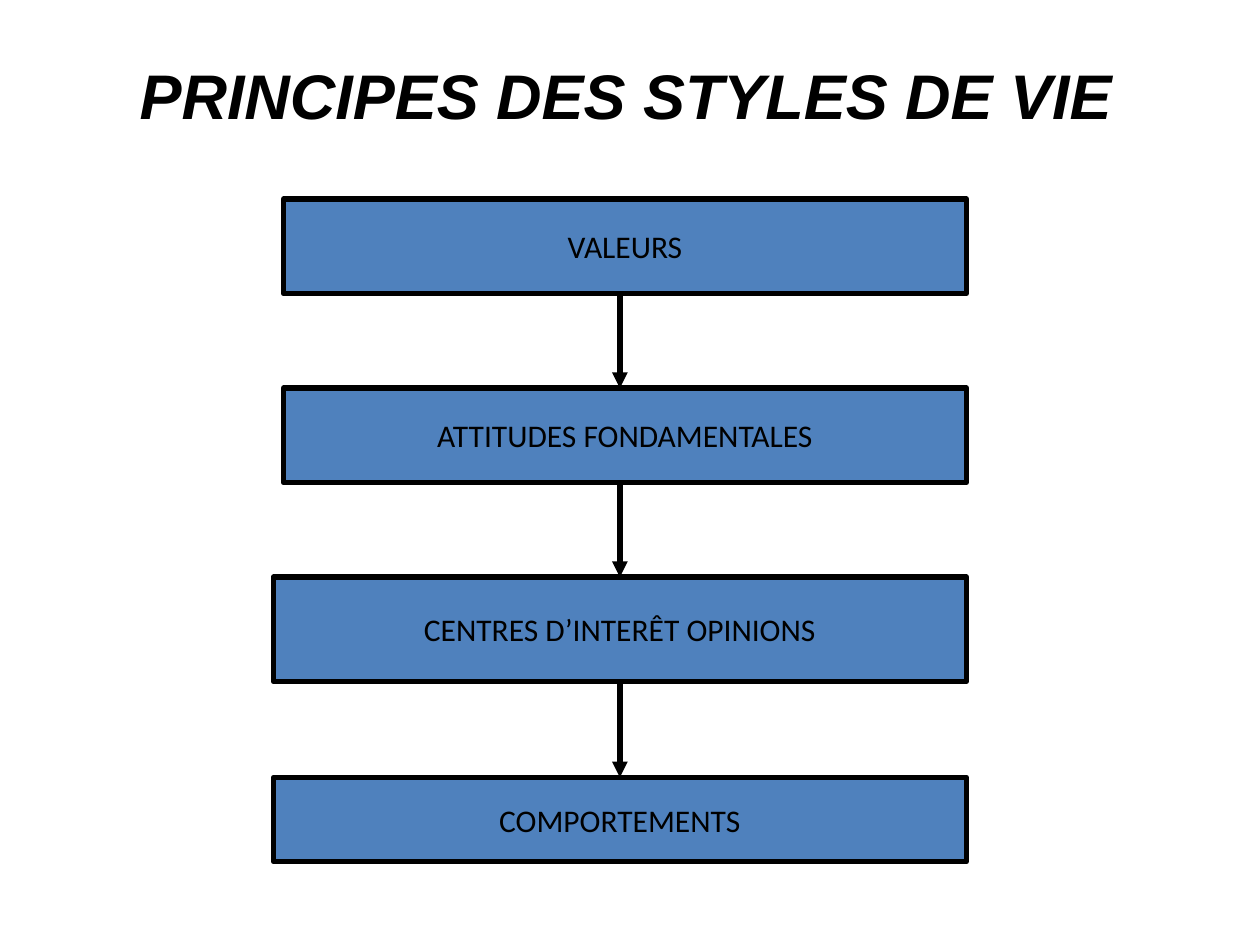
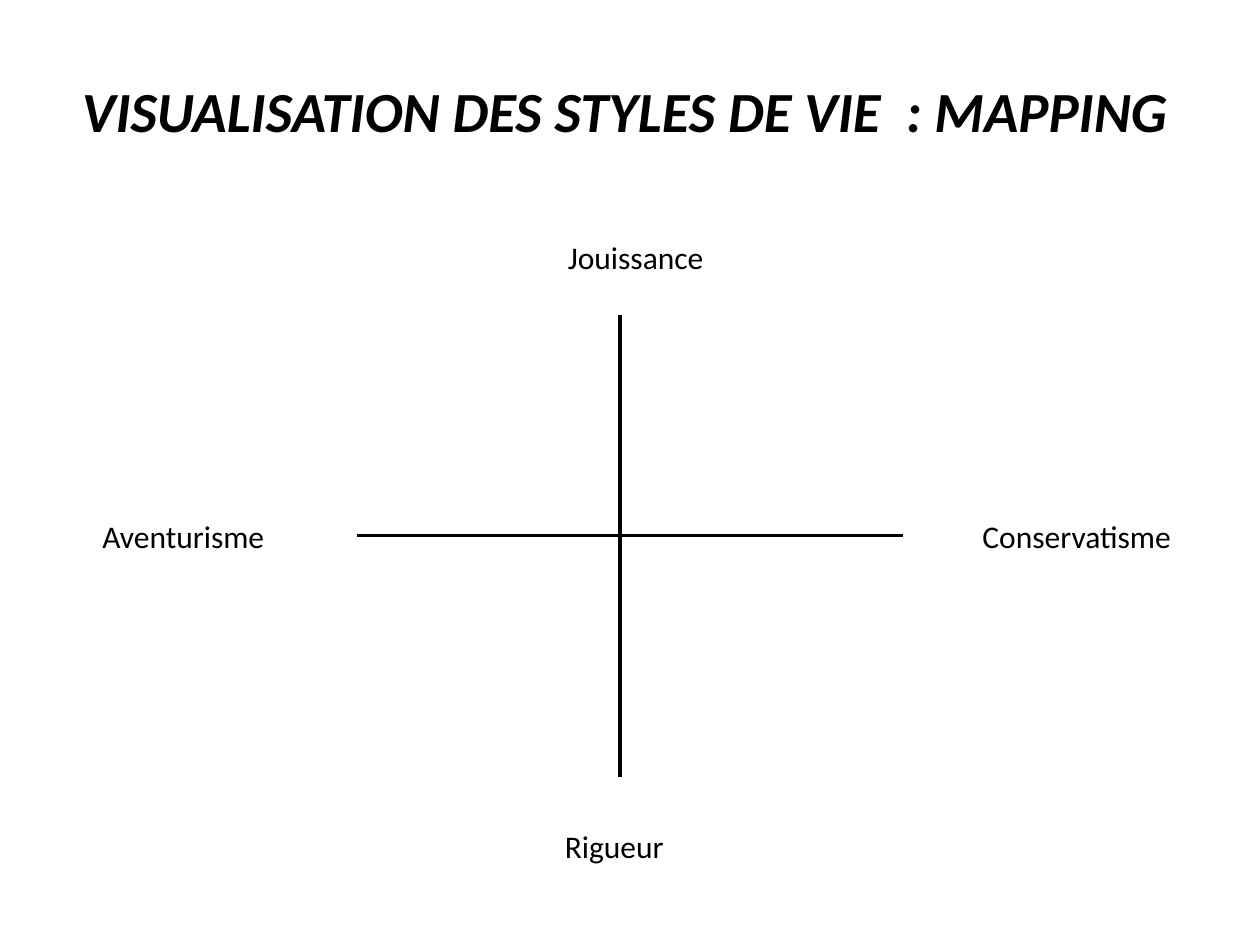
from lxml.etree import SubElement
from pptx import Presentation
from pptx.dml.color import RGBColor
from pptx.enum.shapes import MSO_CONNECTOR, MSO_SHAPE
from pptx.enum.text import MSO_ANCHOR, MSO_AUTO_SIZE, PP_ALIGN
from pptx.oxml.ns import qn
from pptx.util import Inches, Pt

BLACK = RGBColor(0x00, 0x00, 0x00)
BLUE = RGBColor(0x4F, 0x81, 0xBD)
TITLE_ONLY = 5
AXIS_X = 4.92
AXIS_Y = 4.25
LABEL_FORMAT = {"size": Pt(18), "name": "Calibri"}
TITLE_FORMAT = {"bold": True, "italic": True}

LEVELS = [
    ("VALEURS", (2.25, 1.58, 5.42, 0.75)),
    ("ATTITUDES FONDAMENTALES", (2.25, 3.08, 5.42, 0.75)),
    ("CENTRES D’INTERÊT OPINIONS", (2.17, 4.58, 5.5, 0.83)),
    ("COMPORTEMENTS", (2.17, 6.17, 5.5, 0.67)),
]
POLES = [
    ("Jouissance", (3.67, 1.75, 2.75, 0.58)),
    ("Aventurisme", (0.33, 3.92, 2.25, 0.67)),
    ("Conservatisme", (7.42, 3.92, 2.25, 0.67)),
    ("Rigueur", (3.5, 6.42, 2.75, 0.58)),
]


def inches(values):
    return [Inches(value) for value in values]


def write_text(shape, text, font_format, wrap=False):
    frame = shape.text_frame
    frame_format = {
        "word_wrap": wrap,
        "auto_size": MSO_AUTO_SIZE.NONE,
        "vertical_anchor": MSO_ANCHOR.MIDDLE,
    }
    for name, value in frame_format.items():
        setattr(frame, name, value)
    para = frame.paragraphs[0]
    para.alignment = PP_ALIGN.CENTER
    span = para.add_run()
    span.text = text
    for name, value in font_format.items():
        setattr(span.font, name, value)
    span.font.color.rgb = BLACK


def add_page(deck, title, place, font_format):
    page = deck.slides.add_slide(deck.slide_layouts[TITLE_ONLY])
    heading = page.shapes.title
    heading.left, heading.top, heading.width, heading.height = inches(place)
    write_text(heading, title, TITLE_FORMAT | font_format, wrap=True)
    return page


def add_level(page, text, place):
    box = page.shapes.add_shape(MSO_SHAPE.RECTANGLE, *inches(place))
    box.shadow.inherit = False
    box.fill.solid()
    box.fill.fore_color.rgb = BLUE
    box.line.color.rgb = BLACK
    box.line.width = Pt(3)
    write_text(box, text, LABEL_FORMAT)
    return box


def add_label(page, text, place):
    write_text(page.shapes.add_textbox(*inches(place)), text, LABEL_FORMAT)


def add_line(page, start, end, width):
    line = page.shapes.add_connector(
        MSO_CONNECTOR.STRAIGHT, *inches(start), *inches(end))
    line.line.color.rgb = BLACK
    line.line.width = Pt(width)
    SubElement(line._element.spPr, qn("a:effectLst"))
    return line


def is_on_axis(box):
    return abs(box.left + box.width // 2 - Inches(AXIS_X)) < Inches(0.01)


def add_arrow(page, upper, lower):
    start = (AXIS_X, (upper.top + upper.height).inches
             if hasattr(upper.top + upper.height, "inches")
             else (upper.top + upper.height) / Inches(1))
    end = (AXIS_X, lower.top / Inches(1))
    arrow = add_line(page, start, end, 3)
    SubElement(arrow.line._get_or_add_ln(), qn("a:tailEnd"), type="triangle")
    if is_on_axis(upper):
        arrow.begin_connect(upper, 2)
    if is_on_axis(lower):
        arrow.end_connect(lower, 0)


def build_principles(deck):
    page = add_page(deck, "PRINCIPES DES STYLES DE VIE",
                    (0.75, 0.33, 8.44, 0.83),
                    {"size": Pt(36), "name": "Arial"})
    boxes = [add_level(page, text, place) for text, place in LEVELS]
    for upper, lower in zip(boxes, boxes[1:]):
        add_arrow(page, upper, lower)


def build_mapping(deck):
    page = add_page(deck, "VISUALISATION DES STYLES DE VIE  : MAPPING",
                    (0.25, 0.25, 9.42, 1.25),
                    {"size": Pt(32.4), "name": "Calibri"})
    for text, place in POLES:
        add_label(page, text, place)
    add_line(page, (AXIS_X, 2.5), (AXIS_X, 6.17), 2.25)
    add_line(page, (2.83, AXIS_Y), (7.17, AXIS_Y), 2.25)


def main():
    deck = Presentation()
    deck.slide_width = Inches(10)
    deck.slide_height = Inches(7.5)
    build_principles(deck)
    build_mapping(deck)
    deck.save("out.pptx")


if __name__ == "__main__":
    main()
